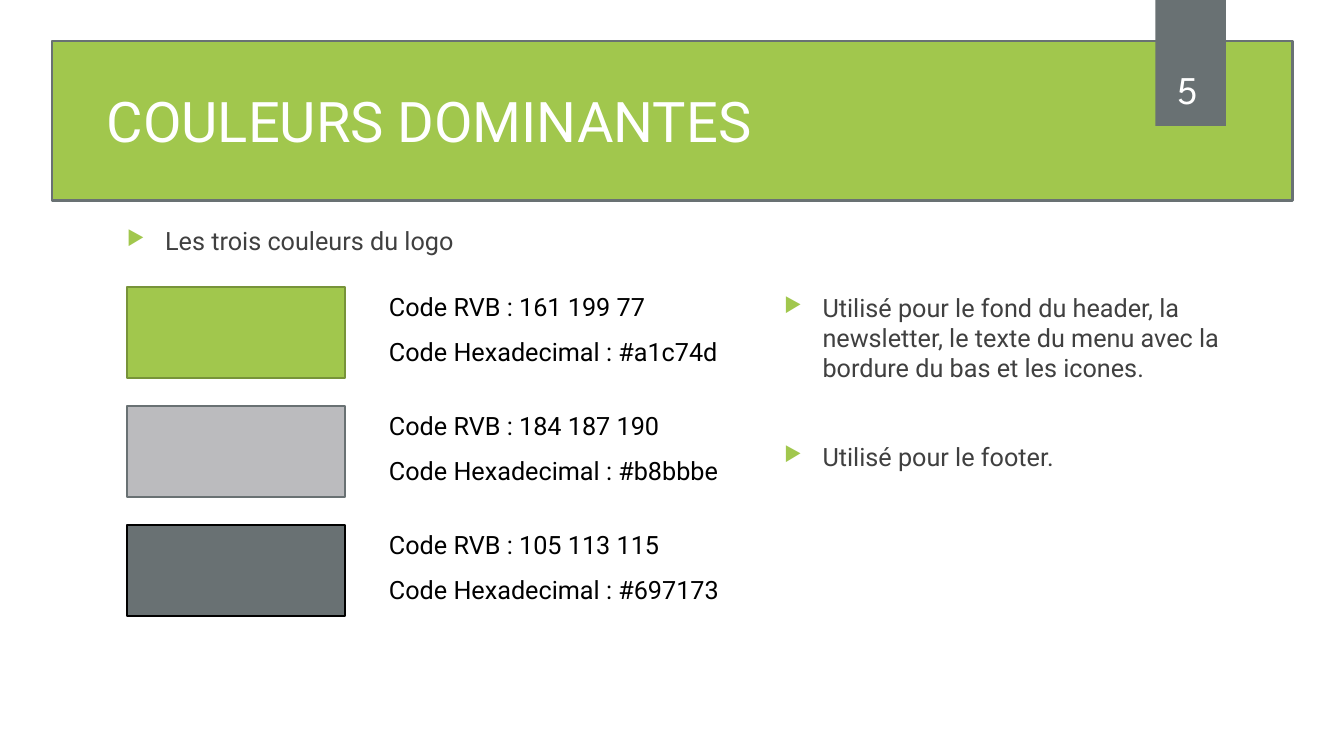
from lxml.etree import SubElement
from pptx import Presentation
from pptx.dml.color import RGBColor
from pptx.enum.shapes import MSO_SHAPE
from pptx.enum.text import MSO_ANCHOR as Anchor, PP_ALIGN as Align
from pptx.oxml.ns import qn
from pptx.util import Inches, Pt

GREEN = RGBColor(0xA1, 0xC7, 0x4D)
OLIVE = RGBColor(0x77, 0x93, 0x39)
SILVER = RGBColor(0xBB, 0xBB, 0xBE)
SLATE = RGBColor(0x69, 0x71, 0x73)
CHARCOAL = RGBColor(0x40, 0x40, 0x40)
BLACK = RGBColor(0, 0, 0)
WHITE = RGBColor(255, 255, 255)

PALETTE = [
    (GREEN, OLIVE, "161 199 77", "#a1c74d"),
    (SILVER, SLATE, "184 187 190", "#b8bbbe"),
    (SLATE, BLACK, "105 113 115", "#697173"),
]
SWATCH_TOP = 28.5
LABEL_TOP = 28.4
SWATCH_PITCH = 11.8
LABEL_PITCH = 4.5


class SlideBuilder:
    cell = Inches(0.1)
    font = "Roboto"
    body_size = 18
    border = Pt(1.5)

    def __init__(self, slide):
        self.slide = slide

    def place(self, *cells):
        return [round(value * self.cell) for value in cells]

    def rectangle(self, column, row, columns, rows, fill, line=None):
        shape = self.slide.shapes.add_shape(
            MSO_SHAPE.RECTANGLE, *self.place(column, row, columns, rows))
        shape.shadow.inherit = False
        shape.fill.solid()
        shape.fill.fore_color.rgb = fill
        if line is None:
            shape.line.fill.background()
        else:
            shape.line.color.rgb = line
            shape.line.width = self.border

    def text(self, column, row, columns, rows, content, color=BLACK,
             size=body_size, font=font, align=Align.LEFT, anchor=Anchor.TOP):
        box = self.slide.shapes.add_textbox(
            *self.place(column, row, columns, rows))
        frame = box.text_frame
        frame.word_wrap = True
        frame.vertical_anchor = anchor
        frame.text = content
        for para in frame.paragraphs:
            para.alignment = align
            for span in para.runs:
                span.font.name = font
                span.font.size = Pt(size)
                span.font.color.rgb = color
        return frame

    def bullets(self, column, row, columns, rows, items, gap=10):
        frame = self.text(column, row, columns, rows, "\n".join(items), CHARCOAL)
        for index, para in enumerate(frame.paragraphs):
            para.space_before = Pt(gap if index else 10)
            self.add_marker(para)

    def add_marker(self, para):
        indent = Inches(0.38)
        properties = para._p.get_or_add_pPr()
        properties.set("marL", str(indent))
        properties.set("indent", str(-indent))
        color = SubElement(properties, qn("a:buClr"))
        SubElement(color, qn("a:srgbClr"), val=str(GREEN))
        SubElement(properties, qn("a:buSzPct"), val="80000")
        SubElement(properties, qn("a:buChar"), char="▶")


def main():
    deck = Presentation()
    deck.slide_width, deck.slide_height = Inches(13.33), Inches(7.5)
    page = SlideBuilder(deck.slides.add_slide(deck.slide_layouts[6]))

    page.rectangle(5.2, 4.1, 123, 15.8, GREEN, SLATE)
    page.rectangle(114.6, 0, 7, 12.5, SLATE)
    page.text(9.6, 8.1, 93.8, 7.7, "COULEURS DOMINANTES", WHITE, 40)
    page.text(113.2, 3.2, 9.2, 8.4, "5", WHITE, 28, "League Spartan",
              Align.CENTER, Anchor.BOTTOM)

    page.bullets(11.6, 21.9, 51.4, 3.9, ["Les trois couleurs du logo"])
    for index, (fill, line, rgb, code) in enumerate(PALETTE):
        offset = index * SWATCH_PITCH
        page.rectangle(12.6, SWATCH_TOP + offset, 21.6, 9, fill, line)
        labels = [f"Code RVB : {rgb}", f"Code Hexadecimal : {code}"]
        for step, label in enumerate(labels):
            row = LABEL_TOP + offset + step * LABEL_PITCH
            page.text(37.6, row, 50.7, 4, label)

    page.bullets(76.8, 28.5, 51.4, 37.4, [
        "Utilisé pour le fond du header, la newsletter, le texte du menu "
        "avec la bordure du bas et les icones.",
        "Utilisé pour le footer.",
    ], gap=42)

    deck.save("out.pptx")


if __name__ == "__main__":
    main()
